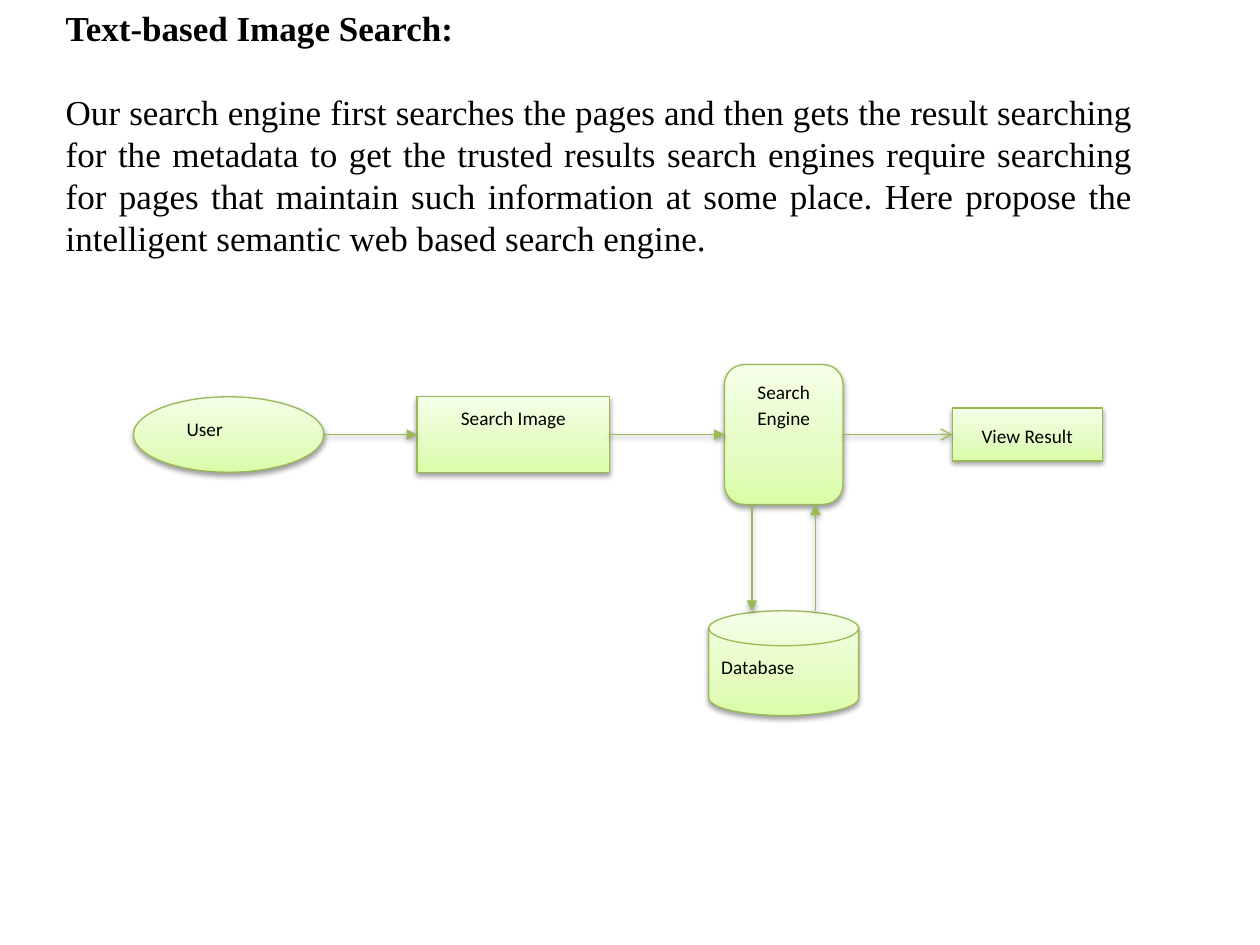
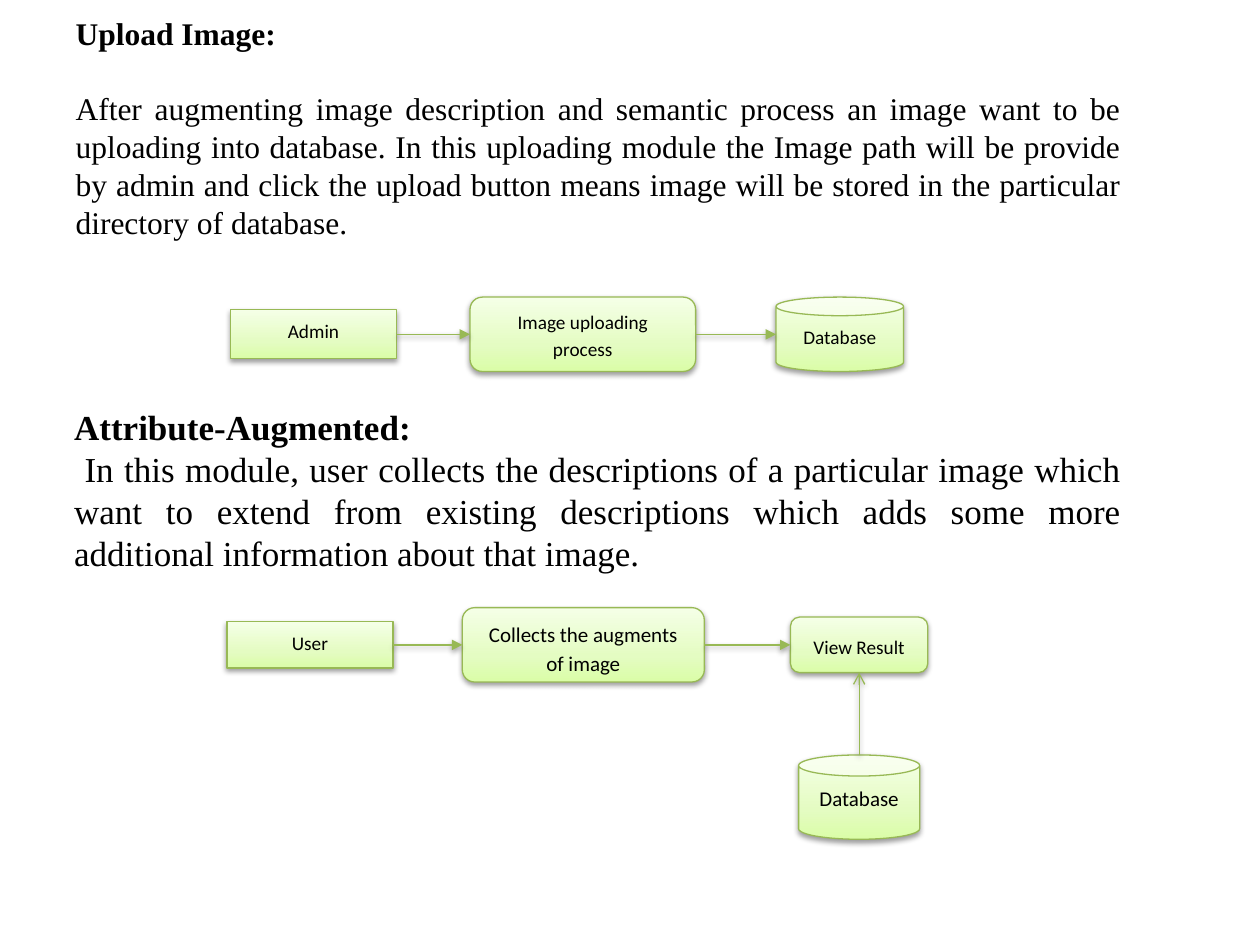
"""Build two slides describing image search modules with flow diagrams."""
from copy import deepcopy
from dataclasses import dataclass

from lxml import etree
from pptx import Presentation
from pptx.dml.color import RGBColor
from pptx.enum.shapes import MSO_CONNECTOR, MSO_SHAPE
from pptx.enum.text import MSO_ANCHOR, MSO_AUTO_SIZE, PP_ALIGN
from pptx.oxml.ns import qn
from pptx.util import Cm, Pt

RECTANGLE = MSO_SHAPE.RECTANGLE
ROUNDED = MSO_SHAPE.ROUNDED_RECTANGLE
PROCESS = MSO_SHAPE.FLOWCHART_PROCESS
OVAL = MSO_SHAPE.OVAL
DISK = MSO_SHAPE.FLOWCHART_MAGNETIC_DISK
CAN = MSO_SHAPE.CAN
JOINABLE = (RECTANGLE, ROUNDED, PROCESS)
TOP, MIDDLE = MSO_ANCHOR.TOP, MSO_ANCHOR.MIDDLE
LEFT, CENTER, JUSTIFY = PP_ALIGN.LEFT, PP_ALIGN.CENTER, PP_ALIGN.JUSTIFY
STRAIGHT = MSO_CONNECTOR.STRAIGHT
NO_AUTOFIT = MSO_AUTO_SIZE.NONE
TOP_SIDE, LEFT_SIDE, BOTTOM_SIDE, RIGHT_SIDE = range(4)
TITLE_AND_CONTENT, COMPARISON = 1, 4


@dataclass(frozen=True)
class Theme:
    """Colours, fonts and sizes shared by the slides."""
    ink: RGBColor = RGBColor(0, 0, 0)
    outline: RGBColor = RGBColor(0x98, 0xB9, 0x55)
    gradient: tuple = ((0, "DAFDA7"), (0.35, "E4FCC2"), (1, "F5FFE7"))
    prose_font: str = "Times New Roman"
    label_font: str = "Calibri"
    large: int = 20
    medium: int = 18
    label: int = 11
    large_label: int = 12
    line_width: float = 0.75


THEME = Theme()


@dataclass(frozen=True)
class Section:
    """A heading with its paragraph, in centimetres."""
    heading: str
    body: str
    left: float
    top: float
    width: float
    body_offset: float
    size: int
    placeholders: tuple


@dataclass(frozen=True)
class Node:
    """A labelled diagram shape placed by its centre, in centimetres."""
    text: str
    kind: MSO_SHAPE
    center_x: float
    center_y: float
    width: float
    height: float
    size: int = THEME.label
    align: PP_ALIGN = CENTER
    anchor: MSO_ANCHOR = TOP
    indent: float = 0.25


@dataclass(frozen=True)
class Arrow:
    """An arrow between the sides of two named nodes."""
    source: str
    target: str
    source_side: int = RIGHT_SIDE
    target_side: int = LEFT_SIDE
    head: str = "triangle"
    shift: float = 0


@dataclass(frozen=True)
class Page:
    """One slide: its layout, sections and diagrams."""
    layout: int
    sections: tuple
    diagrams: tuple


SEARCH_ROW, UPLOAD_ROW, AUGMENT_ROW = 8.76, 6.74, 13.0

SEARCH_DIAGRAM = (
    (
        Node("User", OVAL, 4.61, SEARCH_ROW, 3.84, 1.52, align=LEFT, indent=0.51),
        Node("Search Image", RECTANGLE, 10.35, SEARCH_ROW, 3.89, 1.52),
        Node("Search Engine", ROUNDED, 15.8, SEARCH_ROW, 2.39, 2.82),
        Node("View Result", PROCESS, 20.71, SEARCH_ROW, 3.02, 1.07, anchor=MIDDLE),
        Node("Database", DISK, 15.8, 13.37, 3.02, 2.11, align=LEFT),
    ),
    (
        Arrow("User", "Search Image"),
        Arrow("Search Image", "Search Engine"),
        Arrow("Search Engine", "View Result", head="arrow"),
        Arrow("Search Engine", "Database", BOTTOM_SIDE, TOP_SIDE, shift=-0.64),
        Arrow("Database", "Search Engine", TOP_SIDE, BOTTOM_SIDE, shift=0.64),
    ),
)

UPLOAD_DIAGRAM = (
    (
        Node("Admin", RECTANGLE, 6.32, UPLOAD_ROW, 3.35, 0.99),
        Node("Image uploading process", ROUNDED, 11.75, UPLOAD_ROW, 4.55, 1.5),
        Node("Database", CAN, 16.93, UPLOAD_ROW, 2.57, 1.5),
    ),
    (
        Arrow("Admin", "Image uploading process"),
        Arrow("Image uploading process", "Database"),
    ),
)

AUGMENT_DIAGRAM = (
    (
        Node("User", RECTANGLE, 6.25, AUGMENT_ROW, 3.35, 0.94),
        Node("Collects the augments of image", ROUNDED, 11.76, AUGMENT_ROW,
             4.88, 1.5, size=THEME.large_label),
        Node("View Result", ROUNDED, 17.32, AUGMENT_ROW, 2.77, 1.12, anchor=MIDDLE),
        Node("Database", CAN, 17.32, 16.07, 2.44, 1.7, size=THEME.large_label),
    ),
    (
        Arrow("User", "Collects the augments of image"),
        Arrow("Collects the augments of image", "View Result"),
        Arrow("Database", "View Result", TOP_SIDE, BOTTOM_SIDE, head="arrow"),
    ),
)

PAGES = (
    Page(TITLE_AND_CONTENT, (
        Section(
            "Text-based Image Search:",
            "Our search engine first searches the pages and then gets the result "
            "searching for the metadata to get the trusted results search engines "
            "require searching for pages that maintain such information at some "
            "place. Here propose the intelligent semantic web based search engine.",
            1.07, 0, 22.02, 1.69, THEME.large, (0, 1)),
    ), (SEARCH_DIAGRAM,)),
    Page(COMPARISON, (
        Section(
            "Upload Image:",
            "After augmenting image description and semantic process an image want "
            "to be uploading into database. In this uploading module the Image path "
            "will be provide by admin and click the upload button means image will "
            "be stored in the particular directory of database.",
            1.27, 0.15, 21.59, 1.52, THEME.medium, (0, 2)),
        Section(
            "Attribute-Augmented:",
            " In this module, user collects the descriptions of a particular image "
            "which want to extend from existing descriptions which adds some more "
            "additional information about that image.",
            1.24, 8.05, 21.62, 0.85, THEME.large, (3, 4)),
    ), (UPLOAD_DIAGRAM, AUGMENT_DIAGRAM)),
)


def style_font(para, name: str, size: int, bold: bool = False) -> None:
    """Set the font of a whole paragraph."""
    para.font.name = name
    para.font.size = Pt(size)
    para.font.bold = bold
    para.font.color.rgb = THEME.ink


def fill_placeholder(box, text: str, section: Section, top: float,
                     height: float, bold: bool) -> None:
    """Move a placeholder and fill it with one justified paragraph."""
    box.left, box.top = Cm(section.left), Cm(top)
    box.width, box.height = Cm(section.width), Cm(height)
    frame = box.text_frame
    frame.text = text
    frame.auto_size = NO_AUTOFIT
    frame.vertical_anchor = TOP
    para = frame.paragraphs[0]
    para.alignment = JUSTIFY
    para.space_before = Pt(0)
    properties = para._p.get_or_add_pPr()
    properties.set("marL", "0")
    properties.set("indent", "0")
    etree.SubElement(properties, qn("a:buNone"))
    style_font(para, THEME.prose_font, section.size, bold)


def draw_section(page, section: Section) -> None:
    """Write a heading and its paragraph into two placeholders."""
    boxes = {box.placeholder_format.idx: box for box in page.placeholders}
    heading, body = (boxes[index] for index in section.placeholders)
    fill_placeholder(heading, section.heading, section, section.top, 1.1, True)
    fill_placeholder(body, section.body, section,
                     section.top + section.body_offset, 3.7, False)


def add_outline_and_shadow(item) -> None:
    """Give a shape or connector the green line and the soft shadow."""
    item.line.color.rgb = THEME.outline
    item.line.width = Pt(THEME.line_width)
    effects = etree.SubElement(item._element.spPr, qn("a:effectLst"))
    shadow = etree.SubElement(effects, qn("a:outerShdw"), blurRad="40000",
                              dist="20000", dir="5400000", rotWithShape="0")
    color = etree.SubElement(shadow, qn("a:srgbClr"), val="000000")
    etree.SubElement(color, qn("a:alpha"), val="38000")


def fill_gradient(shape) -> None:
    """Fill a shape with the green gradient, lightest at the top."""
    shape.fill.gradient()
    shape.fill.gradient_angle = 90
    stops = shape._element.spPr.find(".//" + qn("a:gsLst"))
    stops.append(deepcopy(stops[0]))
    for stop, (position, color) in zip(shape.fill.gradient_stops, THEME.gradient):
        stop.position = position
        stop.color.rgb = RGBColor.from_string(color)


def draw_node(page, node: Node):
    """Draw a labelled shape and return it."""
    shape = page.shapes.add_shape(
        node.kind, Cm(node.center_x - node.width / 2),
        Cm(node.center_y - node.height / 2), Cm(node.width), Cm(node.height))
    fill_gradient(shape)
    add_outline_and_shadow(shape)
    frame = shape.text_frame
    frame.text = node.text
    frame.word_wrap = True
    frame.vertical_anchor = node.anchor
    frame.margin_left = Cm(node.indent)
    para = frame.paragraphs[0]
    para.alignment = node.align
    para.line_spacing = 1.15
    para.space_after = Pt(10)
    style_font(para, THEME.label_font, node.size)
    return shape


def side_point(node: Node, side: int, shift: float) -> tuple:
    """Return the middle of a node's side, shifted sideways."""
    across, down = {TOP_SIDE: (0, -0.5), LEFT_SIDE: (-0.5, 0),
                    BOTTOM_SIDE: (0, 0.5), RIGHT_SIDE: (0.5, 0)}[side]
    return (Cm(node.center_x + across * node.width + shift),
            Cm(node.center_y + down * node.height))


def draw_arrow(page, arrow: Arrow, nodes: dict, shapes: dict) -> None:
    """Draw an arrow and join it to rectangles where it meets a side's middle."""
    source, target = nodes[arrow.source], nodes[arrow.target]
    line = page.shapes.add_connector(
        STRAIGHT, *side_point(source, arrow.source_side, arrow.shift),
        *side_point(target, arrow.target_side, arrow.shift))
    if not arrow.shift and source.kind in JOINABLE:
        line.begin_connect(shapes[arrow.source], arrow.source_side)
    if not arrow.shift and target.kind in JOINABLE:
        line.end_connect(shapes[arrow.target], arrow.target_side)
    add_outline_and_shadow(line)
    etree.SubElement(line.line._get_or_add_ln(), qn("a:tailEnd"), type=arrow.head)


def draw_page(deck, plan: Page) -> None:
    """Add one slide with its sections and diagrams."""
    page = deck.slides.add_slide(deck.slide_layouts[plan.layout])
    for section in plan.sections:
        draw_section(page, section)
    for box in list(page.placeholders):
        if not box.text_frame.text:
            box._element.getparent().remove(box._element)
    for diagram_nodes, arrows in plan.diagrams:
        nodes = {node.text: node for node in diagram_nodes}
        shapes = {name: draw_node(page, node) for name, node in nodes.items()}
        for arrow in arrows:
            draw_arrow(page, arrow, nodes, shapes)


def main() -> None:
    """Build and save the deck."""
    deck = Presentation()
    deck.slide_width, deck.slide_height = Cm(25.4), Cm(19.05)
    for plan in PAGES:
        draw_page(deck, plan)
    deck.save("out.pptx")


if __name__ == "__main__":
    main()
